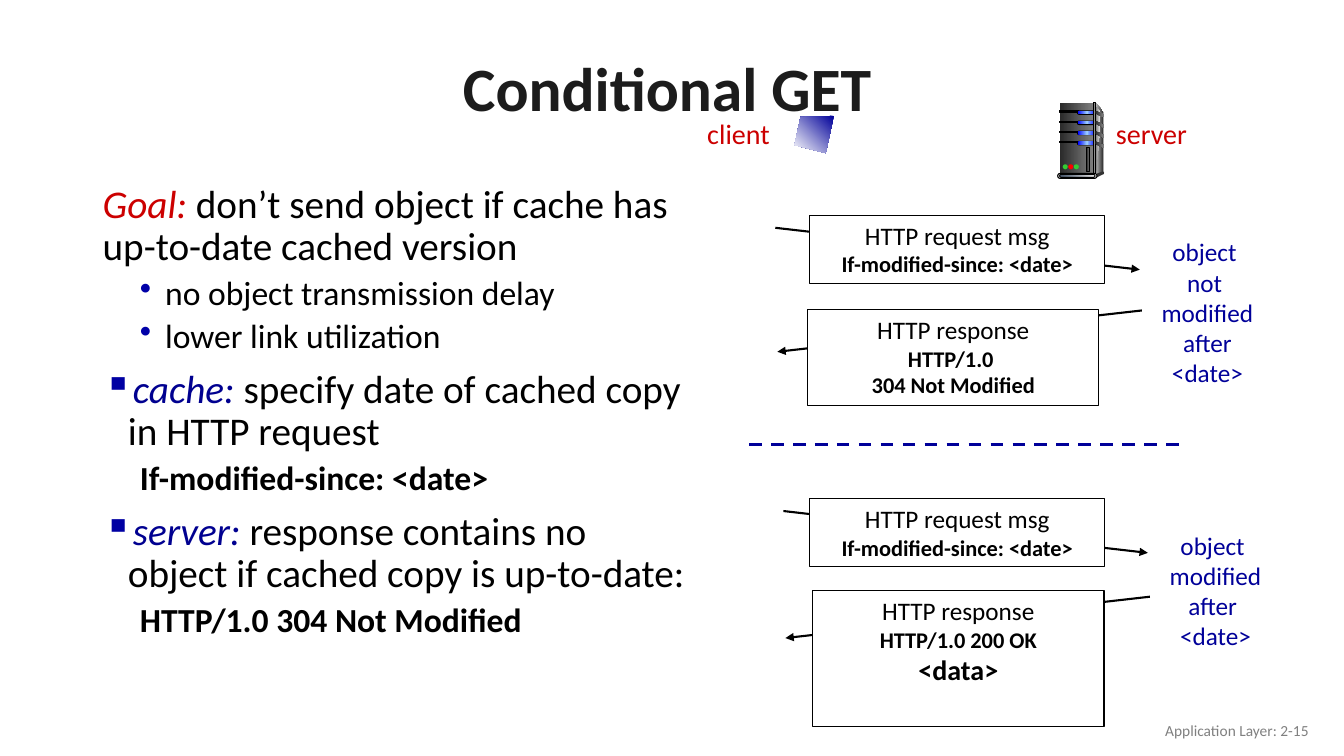
from dataclasses import dataclass
from lxml import etree
from pptx import Presentation, util as u
from pptx.dml.color import RGBColor
from pptx.enum import dml, shapes as kinds, text
from pptx.oxml import ns

CELL = 0.1
MID = text.PP_ALIGN.CENTER
TOP = text.MSO_ANCHOR.TOP
RECT = kinds.MSO_SHAPE.RECTANGLE
PILL = kinds.MSO_SHAPE.ROUNDED_RECTANGLE
OVAL = kinds.MSO_SHAPE.OVAL


@dataclass(frozen=True)
class Theme:
    """Colours, type sizes and fades of the slide."""
    font: str = "Calibri"
    ink: str = "000000"
    paper: str = "FFFFFF"
    head: str = "1C1C1C"
    red: str = "CC0000"
    blue: str = "000099"
    term: str = "000090"
    dot: str = "0000A8"
    box: str = "0000A3"
    gray: str = "808080"
    edge: str = "333333"
    pale: str = "DDDDDD"
    green: str = "33CC33"
    lamp: str = "FF0000"
    title: int = 44
    body: int = 28
    sub: int = 24
    tag: int = 20
    note: int = 18
    code: int = 16
    foot: int = 11
    dark: tuple = ("292929", "808080")
    glow: tuple = ("0000FF", "99CCFF", "0000FF")
    side: tuple = ("DDDDDD", "333333")
    shine: tuple = ("808080", "F8F8F8")
    rail: tuple = ("333333", "DDDDDD", "333333")
    base: tuple = ("44546A", "E7E6E6")
    glass: tuple = ("000099", "FFFFFF")


T = Theme()


def span(*cells):
    """Turn grid cells into slide lengths."""
    return [u.Inches(round(c * CELL, 3)) for c in cells]


def tint(run, size, color=T.ink, bold=False, slant=False):
    """Format one run."""
    font = run.font
    font.name, font.size = T.font, u.Pt(size)
    font.bold, font.italic = bold, slant
    font.color.rgb = RGBColor.from_string(color)


def write(frame, rows, align=MID, anchor=TOP, wrap=True):
    """Fill a frame with rows of text, size, colour and weight."""
    frame.word_wrap, frame.vertical_anchor = wrap, anchor
    frame.text = "\n".join(row[0] for row in rows)
    for para, (_, *look) in zip(frame.paragraphs, rows):
        para.alignment = align
        tint(para.runs[0], *look)


def label(page, at, rows, **how):
    """Place free text on the grid."""
    frame = page.add_textbox(*span(*at)).text_frame
    write(frame, rows, **how)
    return frame


def fade(shape, hues, angle=0):
    """Fill a shape with evenly spaced gradient stops."""
    shape.fill.gradient()
    grad = shape._element.spPr.find(ns.qn("a:gradFill"))
    stops = grad.find(ns.qn("a:gsLst"))
    for stop in list(stops):
        stops.remove(stop)
    for i, hue in enumerate(hues):
        stop = etree.SubElement(stops, ns.qn("a:gs"), pos=str(100000 * i // (len(hues) - 1)))
        etree.SubElement(stop, ns.qn("a:srgbClr"), val=hue)
    grad.find(ns.qn("a:lin")).set("ang", str(angle * 60000))


def paint(shape, fill, line=None, angle=0):
    """Set fill and outline without a shadow."""
    shape.shadow.inherit = False
    if isinstance(fill, tuple):
        fade(shape, fill, angle)
    else:
        shape.fill.solid()
        shape.fill.fore_color.rgb = RGBColor.from_string(fill)
    if line:
        shape.line.color.rgb = RGBColor.from_string(line)
        shape.line.width = u.Pt(0.75)
    else:
        shape.line.fill.background()


def block(page, kind, at, fill, line=None):
    """Draw a preset shape, with full rounding for pills."""
    shape = page.add_shape(kind, *span(*at))
    if kind == PILL:
        shape.adjustments[0] = 0.5
    paint(shape, fill, line)
    return shape


def poly(page, points, fill, angle=0):
    """Draw a closed outline through grid points."""
    first, *rest = [span(*point) for point in points]
    pen = page.build_freeform(*first, scale=1.0)
    pen.add_line_segments(rest, close=True)
    paint(pen.convert_to_shape(), fill, angle=angle)


def rule(page, start, end, color=T.ink, width=1.5, dash=False):
    """Draw an arrow, or a dashed line."""
    line = page.add_connector(kinds.MSO_CONNECTOR.STRAIGHT, *span(*start, *end))
    line.line.color.rgb = RGBColor.from_string(color)
    line.line.width = u.Pt(width)
    if dash:
        line.line.dash_style = dml.MSO_LINE.DASH
    else:
        etree.SubElement(line.line._get_or_add_ln(), ns.qn("a:tailEnd"), type="triangle")
    etree.SubElement(line._element.spPr, ns.qn("a:effectLst"))


def card(page, at, rows):
    """Draw a message box."""
    write(block(page, RECT, at, T.paper, T.ink).text_frame, rows)


def swap(page, left, top, back, reply, rows):
    """Draw a request and its response."""
    rule(page, (left, top), (left + 36.15, top + 4.15))
    card(page, (80.3, top - 1.25, 29.3, 6.8),
         [("HTTP request msg", T.note), ("If-modified-since: <date>", T.code, T.ink, True)])
    rule(page, (left + 36.35, back), (left + 0.2, back + 4.1))
    card(page, reply, [("HTTP response", T.note)]
         + [(line, size, T.ink, True) for line, size in rows])


def point(para, runs, left, hang, gap, mark=None, hue=T.box, level=0):
    """Set one body paragraph with its indent and bullet."""
    props = para._p.get_or_add_pPr()
    props.set("marL", str(u.Inches(left)))
    props.set("indent", str(u.Inches(hang)))
    para.level, para.line_spacing, para.space_before = level, 0.9, u.Pt(gap)
    if mark:
        color = etree.SubElement(props, ns.qn("a:buClr"))
        etree.SubElement(color, ns.qn("a:srgbClr"), val=hue)
        etree.SubElement(props, ns.qn("a:buChar"), char=mark)
    for words, *look in runs:
        run = para.add_run()
        run.text = words
        tint(run, *look)


def body(page):
    """Write the goal and the two roles."""
    frame = page.add_textbox(*span(7.8, 17.8, 61.2, 56.1)).text_frame
    frame.word_wrap = True

    def lead(term, rest, hue):
        return [(term, T.body, hue, False, True), (rest, T.body)]

    def sub(words, mark=None):
        return [(words, T.sub, T.ink, mark is None)], 0.76, -0.25, 5, mark, T.dot, 1

    def role(term, rest):
        return lead(term, rest, T.term), 0.39, -0.24, 10, "▪"

    items = [
        (lead("Goal:", " don’t send object if cache has up-to-date cached version", T.red), 0.14, 0, 0),
        sub("no object transmission delay", "•"),
        sub("lower link utilization", "•"),
        role("cache: ", "specify date of cached copy in HTTP request"),
        sub("If-modified-since: <date>"),
        role("server: ", "response contains no object if cached copy is up-to-date:"),
        sub("HTTP/1.0 304 Not Modified"),
    ]
    for i, item in enumerate(items):
        point(frame.add_paragraph() if i else frame.paragraphs[0], *item)


def tower(page):
    """Draw the server tower."""
    poly(page, [(108.7, 10.2), (109.4, 11.1), (109.4, 17), (108.5, 17.4)], T.side)
    block(page, RECT, (105.1, 10.2, 3.4, 7.2), T.dark)
    poly(page, [(108.7, 10.6), (109.2, 11.2), (108.9, 15), (108.7, 17.2)], T.shine)
    bays = [11 + 1.01 * i for i in range(4)]
    for y in bays:
        block(page, RECT, (105.1, y, 1.9, 0.15), T.ink, T.ink)
        block(page, PILL, (106.8, y - 0.05, 1.9, 0.45), T.ink)
        block(page, PILL, (106.9, y, 1.8, 0.33), T.glow)
    block(page, RECT, (108.5, 10.2, 0.2, 7.2), T.rail, T.ink)
    for y in bays:
        poly(page, [(108.65, y), (109.45, y + 0.35), (109.45, y + 0.65), (108.65, y + 0.25)], T.dark)
    block(page, OVAL, (109.3, 17, 0.2, 0.3), T.edge)
    poly(page, [(108.6, 17.3), (108.6, 17.7), (109.4, 17.3), (109.4, 17)], T.edge)
    block(page, PILL, (104.9, 17.2, 3.9, 0.5), T.pale, T.ink)
    block(page, PILL, (105.1, 17.3, 3.5, 0.3), T.base, T.ink)
    for i, hue in enumerate((T.green, T.lamp, T.green)):
        block(page, OVAL, (105.4 + 0.55 * i, 16.3, 0.5, 0.5), hue)
    block(page, RECT, (107.8, 14.6, 0.3, 2.4), T.dark, T.ink)


def main():
    """Build and save the slide."""
    deck = Presentation()
    deck.slide_width, deck.slide_height = u.Inches(13.33), u.Inches(7.5)
    page = deck.slides.add_slide(deck.slide_layouts[6]).shapes
    center = text.MSO_ANCHOR.MIDDLE
    title = label(page, (8.7, 4.2, 115, 9.8), [("Conditional GET", T.title, T.head, True)], anchor=center)
    title.paragraphs[0].line_spacing = 0.9
    label(page, (100.8, 70.5, 30, 4), [("Application Layer: 2-15", T.foot, T.gray)],
          align=text.PP_ALIGN.RIGHT, anchor=center)
    body(page)
    swap(page, 76.9, 22.6, 30.8, (80.1, 30.7, 28.9, 9.5),
         [("HTTP/1.0 ", T.code), ("304 Not Modified", T.code)])
    rule(page, (74.3, 44.1), (117, 44.1), T.blue, 2.25, True)
    swap(page, 77.7, 50.7, 59.2, (80.6, 58.6, 28.9, 13.5),
         [("HTTP/1.0 200 OK", T.code), ("<data>", T.tag)])
    for at, words in [((114, 23, 11.5, 16), ("object ", "not ", "modified", "after", "<date>")),
                      ((114.8, 52.1, 11.5, 13), ("object ", "modified", "after ", "<date>"))]:
        label(page, at, [(word, T.note, T.blue) for word in words], wrap=False)
    for at, name in [((69, 11.1, 8.5, 4.3), "client"), ((109.6, 11.1, 9.2, 4.4), "server")]:
        label(page, at, [(name, T.tag, T.red)], wrap=False)
    tower(page)
    poly(page, [(82.7, 11.5), (79.4, 11.6), (78.8, 14.4), (81.9, 15.2)], T.glass, 135)
    deck.save("out.pptx")


if __name__ == "__main__":
    main()
